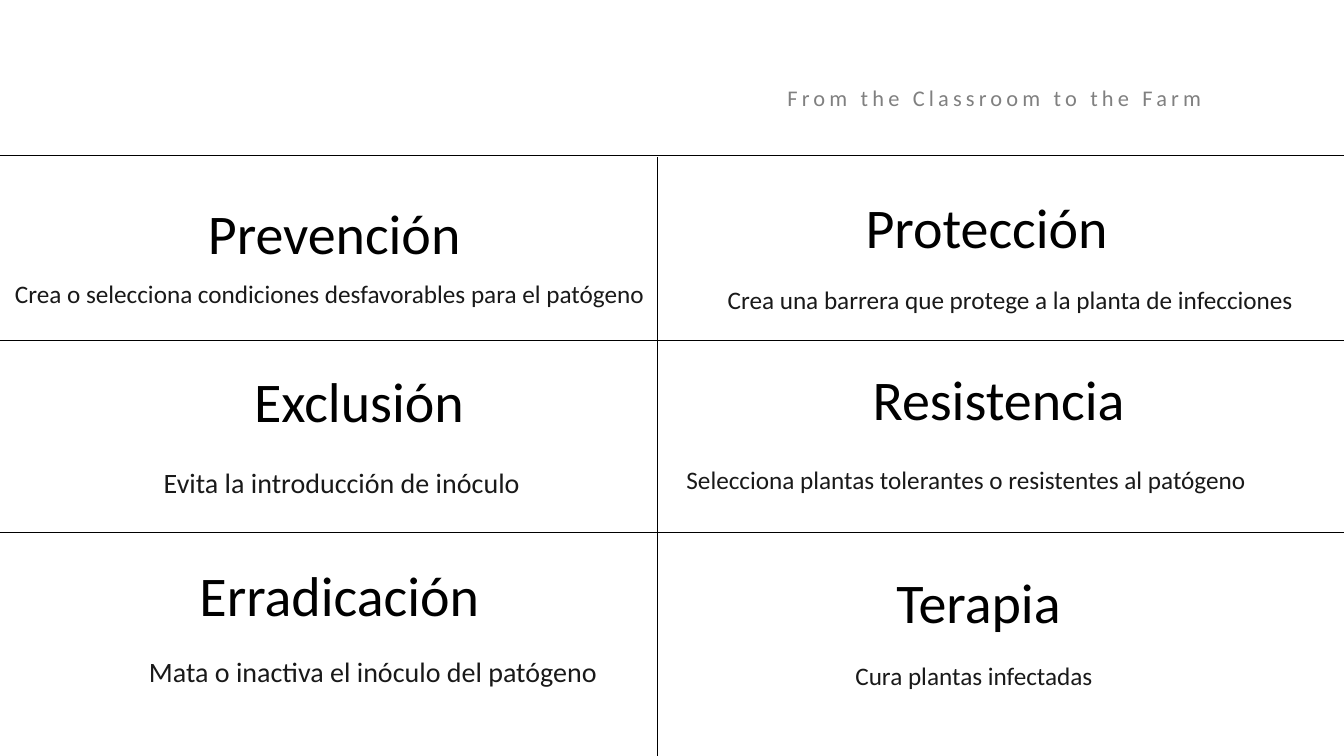
import pptx
import pptx.util
import pptx.dml.color
import pptx.enum.shapes
import pptx.enum.text
import pptx.oxml.ns
from lxml import etree

LEFT = pptx.enum.text.PP_ALIGN.LEFT
CENTER = pptx.enum.text.PP_ALIGN.CENTER
Inches = pptx.util.Inches

# Content: each strategy has its column, row, heading and detail.
# Offsets are inches from the top left corner of the cell.
HEADER = "From the Classroom to the Farm"
HEADINGS = [  # column, row, text, dx, dy, height, indent, line spacing
    (0, 0, "Prevención", 0.66, 0.11, 0.96, 0, 1.4),
    (0, 1, "Exclusión", 0.17, 0.01, 0.91, 1.47, 1.3),
    (0, 2, "Erradicación", 0.71, -0.03, 0.96, 0, 1.4),
    (1, 0, "Protección", 0.61, 0.05, 0.96, 0, 1.4),
    (1, 1, "Resistencia", 0.49, -0.01, 0.91, 0.48, 1.3),
    (1, 2, "Terapia", 0.53, 0.03, 0.96, 0, 1.4),
]
DETAILS = [  # column, row, text, dx, dy, width, size, alignment
    (0, 0, "Crea o selecciona condiciones desfavorables para el patógeno", -0.29, 1.05, 6.96, 18, LEFT),
    (0, 1, "Evita la introducción de inóculo", 0.15, 1.06, 6.14, 20, CENTER),
    (0, 2, "Mata o inactiva el inóculo del patógeno", 0.46, 1.03, 6.14, 20, CENTER),
    (1, 0, "Crea una barrera que protege a la planta de infecciones", -0.15, 1.11, 6.96, 18, CENTER),
    (1, 1, "Selecciona plantas tolerantes o resistentes al patógeno", -0.15, 1.06, 6.96, 18, LEFT),
    (1, 2, "Cura plantas infectadas", -0.51, 1.10, 6.96, 18, CENTER),
]

# Grid
WIDTH, HEIGHT = 13.33, 7.5
COLUMNS = (0, 6.52)
ROWS = (1.54, 3.38, 5.28)
HEADING_WIDTH = 5.31


def color(value):
    return pptx.dml.color.RGBColor.from_string(value)


def write(sp, text, size, ink, align, spacing, indent=0):
    tf = sp.text_frame
    frame = dict(word_wrap=True, vertical_anchor=pptx.enum.text.MSO_ANCHOR.TOP,
                 auto_size=pptx.enum.text.MSO_AUTO_SIZE.SHAPE_TO_FIT_TEXT)
    for name, value in frame.items():
        setattr(tf, name, value)
    p = tf.paragraphs[0]
    for name, value in dict(alignment=align, line_spacing=spacing).items():
        setattr(p, name, value)
    if indent:
        p_pr = p._p.get_or_add_pPr()
        p_pr.set("marL", str(Inches(indent)))
        p_pr.set("indent", "0")
    r = p.add_run()
    r.text = text
    for name, value in dict(name="Calibri", size=pptx.util.Pt(size)).items():
        setattr(r.font, name, value)
    r.font.color.rgb = color(ink)
    return r


def add_text(s, box, *args):
    return write(s.shapes.add_textbox(*map(Inches, box)), *args)


def add_rule(s, *ends):
    line = s.shapes.add_connector(
        pptx.enum.shapes.MSO_CONNECTOR.STRAIGHT, *map(Inches, ends))
    line.line.color.rgb = color("000000")
    line.line.width = pptx.util.Pt(0.5)
    etree.SubElement(line._element.spPr, pptx.oxml.ns.qn("a:effectLst"))


def main():
    prs = pptx.Presentation()
    prs.slide_width, prs.slide_height = Inches(WIDTH), Inches(HEIGHT)
    s = prs.slides.add_slide(prs.slide_layouts[5])

    # Header line
    title = s.shapes.title
    for name, value in dict(left=7.71, top=0.65, width=5, height=0.46).items():
        setattr(title, name, Inches(value))
    r = write(title, HEADER, 16, "808080", LEFT, 1.5)
    r._r.get_or_add_rPr().set("spc", "300")

    # Grid lines
    for y in ROWS:
        add_rule(s, 0, y, WIDTH, y)
    add_rule(s, COLUMNS[1], ROWS[0] + 0.02, COLUMNS[1], HEIGHT)

    # Headings and details in the cells
    for col, row, text, dx, dy, height, indent, spacing in HEADINGS:
        box = (COLUMNS[col] + dx, ROWS[row] + dy, HEADING_WIDTH, height)
        add_text(s, box, text, 40, "000000", CENTER, spacing, indent)
    for col, row, text, dx, dy, width, size, align in DETAILS:
        box = (COLUMNS[col] + dx, ROWS[row] + dy, width, 0.5)
        add_text(s, box, text, size, "191919", align, 1.4, 0.34)

    prs.save("out.pptx")


if __name__ == "__main__":
    main()
